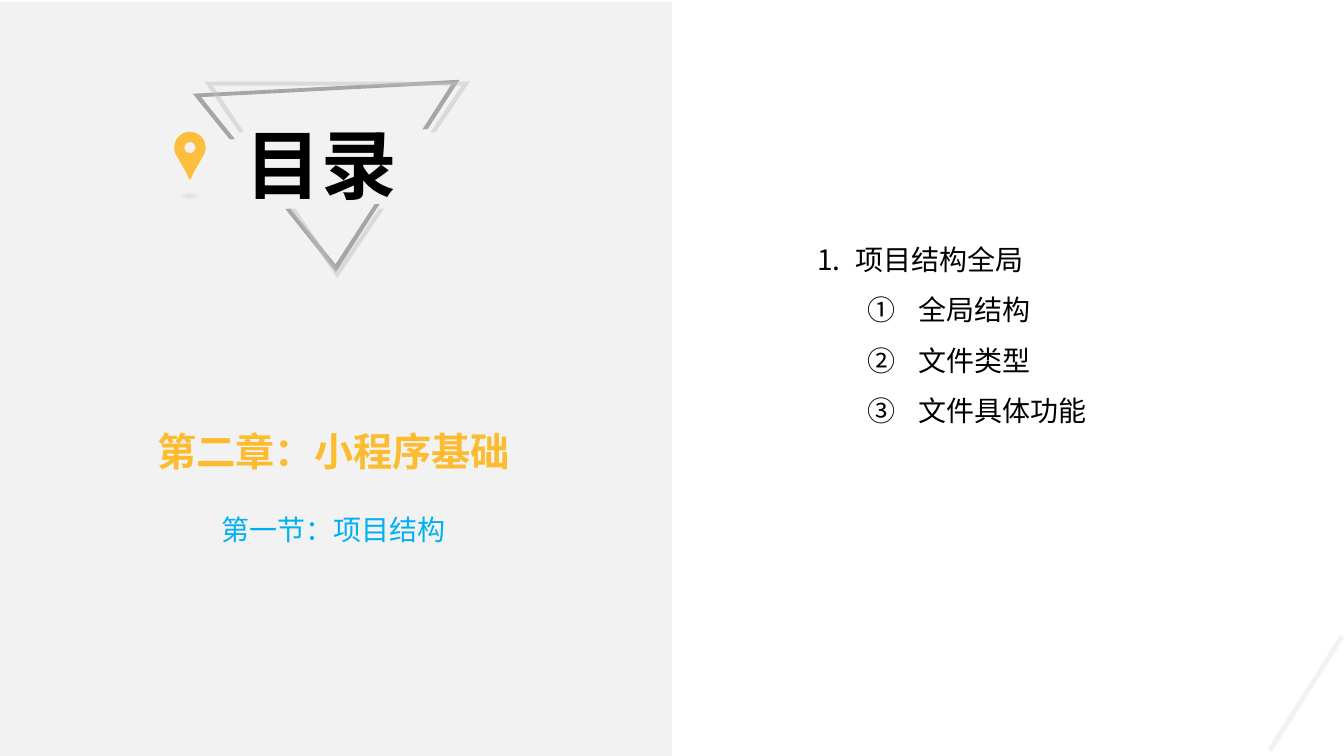
from dataclasses import dataclass
from math import cos, radians, sin

from lxml import etree
from pptx import Presentation
from pptx.dml.color import RGBColor
from pptx.enum.shapes import MSO_SHAPE
from pptx.enum.text import MSO_AUTO_SIZE, PP_ALIGN
from pptx.oxml.ns import qn
from pptx.util import Pt

RECTANGLE, OVAL = MSO_SHAPE.RECTANGLE, MSO_SHAPE.OVAL
LEFT, CENTER = PP_ALIGN.LEFT, PP_ALIGN.CENTER
GROW = MSO_AUTO_SIZE.SHAPE_TO_FIT_TEXT

FONT = "Noto Sans CJK SC"
BLACK = RGBColor(0x00, 0x00, 0x00)
PANEL_GREY = RGBColor(0xF2, 0xF2, 0xF2)
PIN_SHADOW_GREY = RGBColor(0xD9, 0xD9, 0xD9)
DARK_GREY = RGBColor(0xA6, 0xA6, 0xA6)
LIGHT_GREY = RGBColor(0xBF, 0xBF, 0xBF)
AMBER = RGBColor(0xFD, 0xBB, 0x2F)
BLUE = RGBColor(0x00, 0xB0, 0xF0)

Outline = list[tuple[float, float]]


@dataclass(frozen=True)
class Box:
    """A place on the slide, in points, with a rotation in degrees."""
    left: float
    top: float
    width: float
    height: float
    rotation: float = 0


@dataclass(frozen=True)
class Numbering:
    """Automatic numbering of a paragraph, with its indents in points."""
    scheme: str
    margin: float
    hanging: float
    level: int = 0


@dataclass(frozen=True)
class Triangle:
    """One of the two broken triangles around the title."""
    box: Box
    color: RGBColor
    opacity: int = 100


CHAPTER_ITEM = Numbering("arabicPeriod", 27, 27)
SECTION_ITEM = Numbering("circleNumDbPlain", 72, 36, level=1)
CONTENTS = [
    ("项目结构全局", CHAPTER_ITEM),
    ("全局结构", SECTION_ITEM),
    ("文件类型", SECTION_ITEM),
    ("文件具体功能", SECTION_ITEM),
]

TRIANGLE_TOP = [(0, 0), (189.4, 0), (165, 36), (161.3, 36),
                (183.6, 2.9), (5.8, 2.9), (28.1, 36), (24.4, 36)]
TRIANGLE_TIP = [(61.2, 90.7), (64.8, 90.7), (94.7, 134.6),
                (124.6, 90.7), (128.2, 90.7), (94.7, 140.4)]
TRIANGLES = [
    Triangle(Box(141.1, 61.9, 190.8, 132.5, 357), DARK_GREY),
    Triangle(Box(146.2, 58.3, 189.4, 140.4), LIGHT_GREY, 47),
]

PIN_X, PIN_Y, PIN_RADIUS, HOLE_RADIUS = 135.7, 105.4, 11.2, 3.9
PIN_POINT = [(2.3, 18.6), (1, 21.8), (0, 22.8), (-1, 21.8), (-2.3, 18.6)]


def paint(shape, color: RGBColor, opacity: int = 100) -> None:
    """Give a shape a plain fill, no line and no shadow."""
    shape.shadow.inherit = False
    shape.fill.solid()
    shape.fill.fore_color.rgb = color
    shape.line.fill.background()
    if opacity < 100:
        tint = shape._element.spPr.find(f"{qn('a:solidFill')}/{qn('a:srgbClr')}")
        etree.SubElement(tint, qn("a:alpha"), val=str(opacity * 1000))


def add_preset(page, kind, box: Box, color: RGBColor, opacity: int = 100):
    """Add a preset shape."""
    shape = page.shapes.add_shape(
        kind, Pt(box.left), Pt(box.top), Pt(box.width), Pt(box.height))
    shape.rotation = box.rotation
    paint(shape, color, opacity)
    return shape


def add_outline(page, contours: list[Outline], color: RGBColor, opacity: int = 100):
    """Add one freeform made of closed contours in points."""
    first, *others = [[(Pt(x), Pt(y)) for x, y in contour] for contour in contours]
    builder = page.shapes.build_freeform(*first[0])
    builder.add_line_segments(first[1:], close=True)
    for contour in others:
        builder.move_to(*contour[0])
        builder.add_line_segments(contour[1:], close=True)
    shape = builder.convert_to_shape()
    paint(shape, color, opacity)
    return shape


def arc(radius: float, start: int, end: int) -> Outline:
    """Sample an arc around the centre of the pin's head."""
    return [(PIN_X + radius * cos(radians(angle)), PIN_Y + radius * sin(radians(angle)))
            for angle in range(start, end + 1, 6)]


def add_pin(page) -> None:
    """Add the location pin and the soft spot below it."""
    point = [(PIN_X + x, PIN_Y + y) for x, y in PIN_POINT]
    add_outline(page, [arc(PIN_RADIUS, 144, 396) + point, arc(HOLE_RADIUS, 0, 354)],
                AMBER, 93)
    spot = add_preset(page, OVAL, Box(124.5, 136, 22.4, 8), PIN_SHADOW_GREY, 82)
    effects = spot._element.spPr.find(qn("a:effectLst"))
    etree.SubElement(effects, qn("a:softEdge"), rad=str(Pt(2.5)))


def add_triangle(page, triangle: Triangle) -> None:
    """Add a broken triangle, fitted to its box."""
    shape = add_outline(page, [TRIANGLE_TIP, TRIANGLE_TOP],
                        triangle.color, triangle.opacity)
    box = triangle.box
    shape.left, shape.top = Pt(box.left), Pt(box.top)
    shape.width, shape.height = Pt(box.width), Pt(box.height)
    shape.rotation = box.rotation


def number_paragraph(para, numbering: Numbering) -> None:
    """Turn a paragraph into an automatically numbered item."""
    para.level = numbering.level
    properties = para._p.get_or_add_pPr()
    properties.set("marL", str(Pt(numbering.margin)))
    properties.set("indent", str(-Pt(numbering.hanging)))
    etree.SubElement(properties, qn("a:buFont"), typeface=FONT)
    etree.SubElement(properties, qn("a:buAutoNum"), type=numbering.scheme)


def add_text(page, box: Box, items: list[tuple[str, Numbering | None]], *,
             size: float, color: RGBColor, bold: bool = False, align=LEFT,
             wrap: bool = True, spacing: float = 1) -> None:
    """Add a text box with one paragraph for each item."""
    frame = page.shapes.add_textbox(
        Pt(box.left), Pt(box.top), Pt(box.width), Pt(box.height)).text_frame
    frame.word_wrap = wrap
    frame.auto_size = GROW
    for index, (text, numbering) in enumerate(items):
        para = frame.add_paragraph() if index else frame.paragraphs[0]
        para.alignment = align
        para.line_spacing = spacing
        if numbering:
            number_paragraph(para, numbering)
        span = para.add_run()
        span.text = text
        span.font.name, span.font.size, span.font.bold = FONT, Pt(size), bold
        span.font.color.rgb = color
        etree.SubElement(span._r.rPr, qn("a:ea"), typeface=FONT)


def main() -> None:
    """Build the contents slide."""
    deck = Presentation()
    deck.slide_width, deck.slide_height = Pt(960), Pt(540)
    page = deck.slides.add_slide(deck.slide_layouts[6])

    add_preset(page, RECTANGLE, Box(0, 1.5, 480, 540), PANEL_GREY)
    add_text(page, Box(168.5, 80.6, 123.8, 72.7), [("目录", None)],
             size=54, color=BLACK, bold=True, wrap=False)
    add_text(page, Box(64.8, 301.7, 347, 41), [("第二章：小程序基础", None)],
             size=28, color=AMBER, bold=True, align=CENTER)
    add_pin(page)
    for triangle in TRIANGLES:
        add_triangle(page, triangle)
    add_preset(page, RECTANGLE, Box(931, 447.1, 3.6, 96.5, 32.4), PANEL_GREY)
    add_text(page, Box(64.8, 362.2, 347, 31.7), [("第一节：项目结构", None)],
             size=20, color=BLUE, align=CENTER)
    add_text(page, Box(576.7, 157.7, 313.2, 152.6), CONTENTS,
             size=20, color=BLACK, spacing=1.5)

    deck.save("out.pptx")


main()
